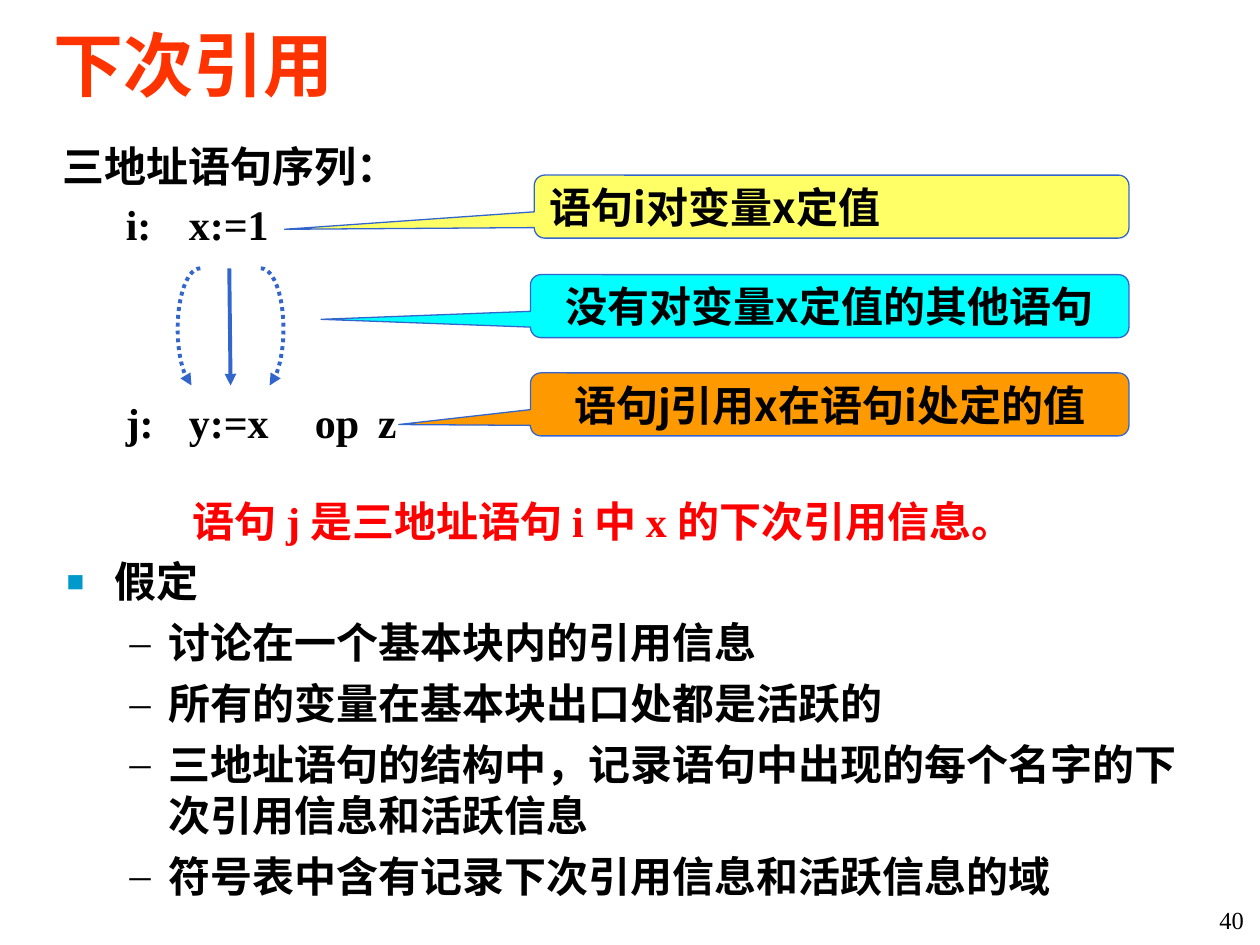
"""Build the next-use slide with its callouts, flow arrows and notes."""
from dataclasses import dataclass

from lxml.etree import SubElement as Sub
from pptx import Presentation as Deck
from pptx.dml.color import RGBColor as Rgb
from pptx.enum.dml import MSO_LINE as Dash
from pptx.enum.shapes import MSO_CONNECTOR as Conn, MSO_SHAPE as Kind
from pptx.enum.text import MSO_ANCHOR as Anchor, PP_ALIGN as Align
from pptx.oxml.ns import qn
from pptx.util import Inches, Pt


@dataclass(frozen=True)
class Theme:
    han: str = "Noto Sans CJK SC"
    roman: str = "Times New Roman"
    ink: str = "000000"
    title: str = "FF3300"
    alert: str = "FF0000"
    mark: str = "0099CC"
    edge: str = "3366CC"
    yellow: str = "FFFF66"
    cyan: str = "00FFFF"
    orange: str = "FF9900"
    big: float = 40
    mid: float = 24
    small: float = 14
    lead: float = 28.8
    gap: float = 6
    thin: float = 0.75
    thick: float = 2.25


class Page:
    def __init__(self, slide, theme):
        self.slide, self.theme = slide, theme

    def run(self, para, text, color=None, size=None, face=None, bold=True):
        run = para.add_run()
        run.text = text
        font = run.font
        font.name = face or self.theme.roman
        font.size = Pt(size or self.theme.mid)
        font.bold = bold
        font.color.rgb = Rgb.from_string(color or self.theme.ink)
        Sub(font._element, qn("a:ea"), typeface=self.theme.han)

    def box(self, left, top, width, height, anchor=Anchor.TOP):
        area = [Inches(v) for v in (left, top, width, height)]
        frame = self.slide.shapes.add_textbox(*area).text_frame
        frame.word_wrap = True
        frame.vertical_anchor = anchor
        return frame

    def line(self, frame, text, color=None, left=0, hang=0, bullet=None, tabs=()):
        first = not frame.paragraphs[0].runs
        para = frame.paragraphs[0] if first else frame.add_paragraph()
        para.line_spacing = Pt(self.theme.lead)
        if not first:
            para.space_before = Pt(self.theme.gap)
        props = para._p.get_or_add_pPr()
        props.set("marL", str(Inches(left)))
        props.set("indent", str(Inches(-hang)))
        if bullet:
            sign, tint, scale = bullet
            Sub(Sub(props, qn("a:buClr")), qn("a:srgbClr"), val=tint)
            Sub(props, qn("a:buSzPct"), val=str(scale * 1000))
            Sub(props, qn("a:buFont"), typeface=self.theme.roman)
            Sub(props, qn("a:buChar"), char=sign)
        if tabs:
            stops = Sub(props, qn("a:tabLst"))
            for stop in tabs:
                Sub(stops, qn("a:tab"), pos=str(Inches(stop)), algn="l")
        self.run(para, text, color)

    def callout(self, left, top, text, fill, tip, align):
        right, height = 8.96, 0.5
        shape = self.slide.shapes.add_shape(
            Kind.ROUNDED_RECTANGULAR_CALLOUT, Inches(left), Inches(top),
            Inches(right - left), Inches(height))
        shape.shadow.inherit = False
        shape.adjustments[0], shape.adjustments[1] = tip
        shape.fill.solid()
        shape.fill.fore_color.rgb = Rgb.from_string(fill)
        self.stroke(shape.line, self.theme.thin)
        frame = shape.text_frame
        frame.word_wrap = False
        frame.vertical_anchor = Anchor.MIDDLE
        para = frame.paragraphs[0]
        para.alignment = align
        self.run(para, text, face=self.theme.han)

    def stroke(self, line, width, arrow=False):
        line.color.rgb = Rgb.from_string(self.theme.edge)
        line.width = Pt(width)
        if arrow:
            Sub(line._get_or_add_ln(), qn("a:tailEnd"), type="triangle")

    def arrow(self, start, end):
        ends = [Inches(v) for v in (*start, *end)]
        link = self.slide.shapes.add_connector(Conn.STRAIGHT, *ends)
        self.stroke(link.line, self.theme.thick, True)
        Sub(link._element.spPr, qn("a:effectLst"))

    def arc(self, left, side):
        curves = (((0, 2.13), (0.1, 2.13), (0.18, 2.34), (0.18, 2.61)),
                  ((0.18, 2.61), (0.18, 2.8), (0.14, 2.98), (0.07, 3.06)))
        steps = 12
        dots = []
        for a, b, c, d in curves:
            for step in range(1, steps + 1):
                t = step / steps
                u = 1 - t
                x, y = (u**3 * a[i] + 3 * u * u * t * b[i]
                        + 3 * u * t * t * c[i] + t**3 * d[i] for i in (0, 1))
                dots.append((Inches(left + side * x), Inches(y)))
        pen = self.slide.shapes.build_freeform(Inches(left), Inches(2.13))
        pen.add_line_segments(dots, close=False)
        shape = pen.convert_to_shape()
        shape.shadow.inherit = False
        shape.fill.background()
        shape.line.dash_style = Dash.ROUND_DOT
        self.stroke(shape.line, self.theme.thick, True)


def main():
    deck = Deck()
    deck.slide_width, deck.slide_height = Inches(10), Inches(7.5)
    look = Theme()
    page = Page(deck.slides.add_slide(deck.slide_layouts[6]), look)

    para = page.box(9.14, 7.13, 0.83, 0.36).paragraphs[0]
    para.alignment = Align.RIGHT
    page.run(para, "40", size=look.small, bold=False)

    para = page.box(0.33, 0.17, 9.42, 0.67, Anchor.MIDDLE).paragraphs[0]
    page.run(para, "下次引用", look.title, look.big, look.han)

    page.line(page.box(0.4, 1.07, 3.62, 0.5), "三地址语句序列：")
    for top, code in ((1.53, "i:\tx:=1"), (3.1, "j:\ty:=x\top\tz")):
        page.line(page.box(0.9, top, 3, 0.5), code, tabs=(0.55, 1.36, 1.87))

    notes = page.box(0.43, 3.88, 9.12, 3.4)
    page.line(notes, "语句 j 是三地址语句 i 中 x 的下次引用信息。", look.alert, 1.25, 0.25)
    page.line(notes, "假定", left=0.38, hang=0.38, bullet=("■", look.mark, 70))
    for text in ("讨论在一个基本块内的引用信息",
                 "所有的变量在基本块出口处都是活跃的",
                 "三地址语句的结构中，记录语句中出现的每个名字的下次引用信息和活跃信息",
                 "符号表中含有记录下次引用信息和活跃信息的域"):
        page.line(notes, text, left=0.81, hang=0.31, bullet=("–", look.ink, 100))

    page.callout(4.24, 1.39, "语句i对变量x定值", look.yellow, (-0.92, 0.36), Align.LEFT)
    page.callout(4.21, 2.18, "没有对变量x定值的其他语句", look.cyan, (-0.85, 0.21), Align.CENTER)
    page.callout(4.21, 2.96, "语句j引用x在语句i处定的值", look.orange, (-0.72, 0.32), Align.CENTER)

    page.arrow((1.82, 2.13), (1.83, 3.06))
    page.arc(1.59, -1)
    page.arc(2.07, 1)
    deck.save("out.pptx")


if __name__ == "__main__":
    main()
